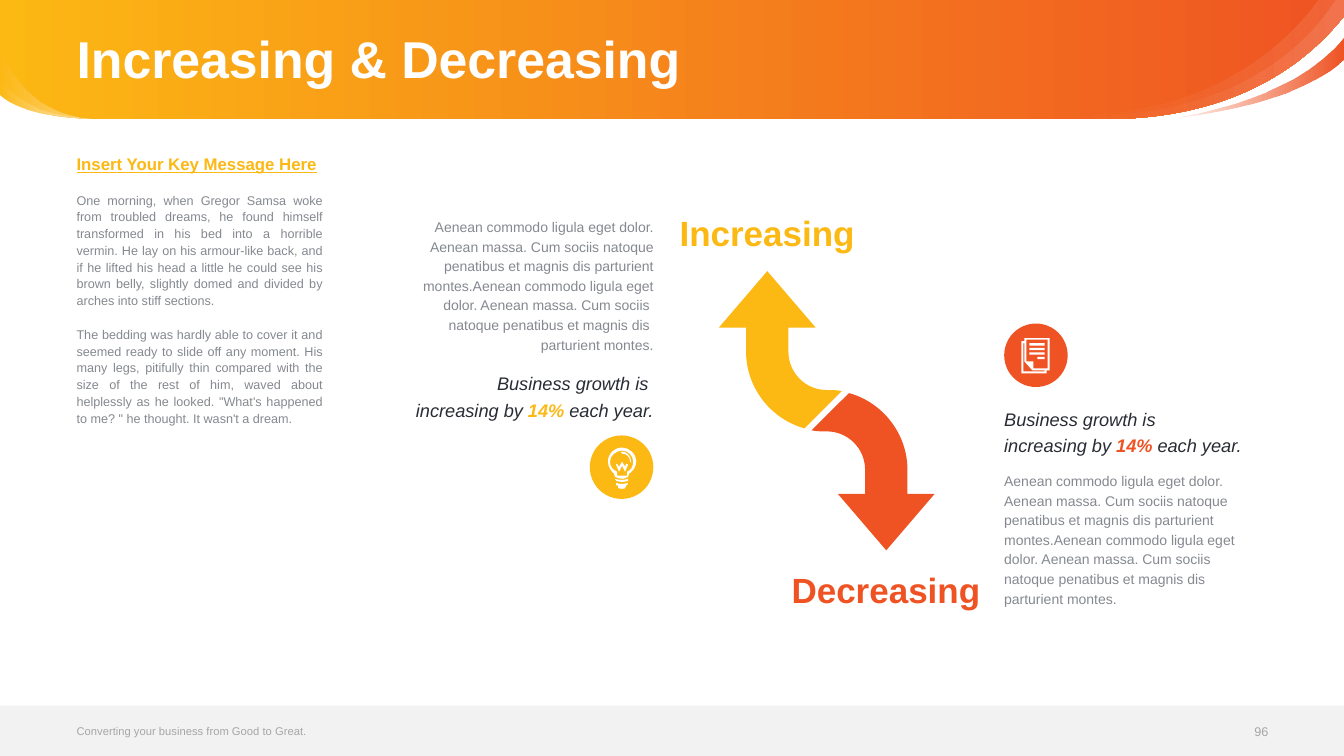
from lxml.etree import SubElement
from pptx import Presentation
from pptx.dml.color import RGBColor
from pptx.enum.shapes import MSO_SHAPE
from pptx.enum.text import MSO_ANCHOR, PP_ALIGN
from pptx.oxml.ns import qn
from pptx.util import Inches, Pt

COLS, ROWS = 1333, 750
COLORS = {"yellow": "FCB813", "orange": "EF5323", "white": "FFFFFF", "band": "F2F2F2",
          "grey": "85898F", "pale": "A6A6A6", "ink": "292C34"}

LOREM = ("Aenean commodo ligula eget dolor. Aenean massa. Cum sociis natoque penatibus et magnis "
         "dis parturient montes.Aenean commodo ligula eget dolor. Aenean massa. Cum sociis "
         "\vnatoque penatibus et magnis dis \vparturient montes.")
MESSAGE = [
    "One morning, when Gregor Samsa woke from troubled dreams, he found himself transformed in his "
    "bed into a horrible vermin. He lay on his armour-like back, and if he lifted his head a little "
    "he could see his brown belly, slightly domed and divided by arches into stiff sections.",
    "The bedding was hardly able to cover it and seemed ready to slide off any moment. His many "
    "legs, pitifully thin compared with the size of the rest of him, waved about helplessly as he "
    "looked. \"What's happened to me? \" he thought. It wasn't a dream.",
]

# Outlines are lists of contours: a pair is a corner, six numbers are a Bézier curve.
HEADER = [[(1333, 0), (1333, 16), (1266, 100, 1170, 117, 1105, 118), (97, 118),
           (18, 117, 0, 94, 0, 94), (0, 0)]]
SWOOSH_WIDE = [[(1333, 0), (1333, 16), (1224, 153, 1039, 113, 1034, 112),
                (1040, 112, 1232, 139, 1324, 0)]]
SWOOSH_TAIL = [[(1157, 118), (1157, 118, 1282, 103, 1333, 37), (1333, 59),
                (1333, 59, 1294, 104, 1157, 118)]]
SWOOSH_INNER = [[(1333, 0), (1333, 16), (1223, 155, 1034, 112, 1034, 112),
                 (1189, 122, 1270, 50, 1307, 0)]]
ARROW = [[(15, -19.5), (-22, 17.5), (-55, 8.5, -80, -22.5, -80, -58.5), (-80, -82.5),
          (-107, -82.5), (-59, -138.5), (-11, -82.5), (-38, -82.5), (-38, -58.5),
          (-38, -37.5, -21, -20.5, 0, -20.5), (5, -20.5, 10, -20.5, 15, -19.5)]]
BULB = [
    [(-6, 15), (-6, 17), (-6, 17, -5, 18, -4, 18), (-4, 20), (-4, 20, -3, 21, 0, 21),
     (3, 21, 3, 20, 3, 20), (4, 18), (5, 18, 5, 17, 5, 17), (6, 15), (4, 16, 2, 16, 0, 16),
     (-2, 16, -4, 16, -6, 15)],
    [(-7, 11), (-6, 13), (-4, 14, -2, 14, 0, 14), (2, 14, 4, 14, 6, 13), (6, 11),
     (4, 12, 2, 12, 0, 12), (-3, 12, -5, 12, -7, 11)],
    [(0, -20), (-8, -20, -14, -14, -14, -6), (-14, -1, -11, 3, -8, 6), (-7, 9),
     (-5, 10, -3, 11, 0, 11), (2, 11, 5, 10, 6, 9), (7, 6), (11, 3, 14, -1, 14, -6),
     (14, -14, 7, -20, 0, -20)],
    [(5, 4), (5, 8), (5, 8, 3, 8, 0, 8), (-4, 8, -5, 8, -5, 8), (-5, 4),
     (-9, 2, -12, -1, -12, -6), (-12, -12, -6, -17, 0, -17), (6, -17, 11, -12, 11, -6),
     (11, -1, 9, 2, 5, 4)],
    [(3, -1), (0, -6), (-3, -1), (-5, -4), (-6, -3), (-3, 4), (0, -2), (3, 4), (6, -3), (4, -4)],
    [(0, -16), (-1, -16, -1, -15, -1, -15), (-1, -14, -1, -14, 0, -14), (4, -14, 8, -11, 8, -6),
     (8, -6, 8, -5, 9, -5), (9, -5, 9, -6, 9, -6), (9, -11, 5, -16, 0, -16)],
]
PAGES = [[(x, y), (8, y), (8, y + 2.3), (x, y + 2.3)]
         for x, y in zip((-7, -7, -7, 1), (-12.5, -8, -3.5, 1))] + [
    [(-12, -17.5), (-12, -14.5), (-15, -14.5), (-15, 17.5), (10, 17.5), (10, 14.5), (13, 14.5),
     (13, -17.5)],
    [(8, 15.5), (-13, 15.5), (-13, -12.5), (-12, -12.5), (-12, 5.5), (-4, 14.5), (8, 14.5)],
    [(11, 12.5), (-3, 12.5), (-3, 5.5), (-10, 5.5), (-10, -16), (11, -16)],
]


def bend(sp, contours):
    """Merge the three lines drawn through each curve's points into one Bézier segment."""
    lines = iter(list(sp._element.iter(qn("a:lnTo"))))
    for contour in contours:
        for step in contour[1:]:
            segment = next(lines)
            if len(step) == 6:
                segment.tag = qn("a:cubicBezTo")
                for line in (next(lines), next(lines)):
                    segment.append(line[0])
                    line.getparent().remove(line)


class SlideBuilder:
    """Draws on one slide; all lengths are cells of the COLS by ROWS grid."""

    def __init__(self, prs, font="Arial"):
        self.s = prs.slides.add_slide(prs.slide_layouts[6])
        self.cell_w, self.cell_h = prs.slide_width / COLS, prs.slide_height / ROWS
        self.font = font

    def emu(self, x, y):
        return round(x * self.cell_w), round(y * self.cell_h)

    def rgb(self, name):
        return RGBColor.from_string(COLORS[name])

    def paint(self, sp, fill):
        """Fill with a colour name, or a gradient of (position, colour, opacity) stops."""
        sp.shadow.inherit = False
        sp.line.fill.background()
        if isinstance(fill, str):
            sp.fill.solid()
            sp.fill.fore_color.rgb = self.rgb(fill)
            return
        sp.fill.gradient()
        sp.fill.gradient_angle = 0
        for stop, (position, color, _) in zip(sp.fill.gradient_stops, fill):
            stop.position = position / 100
            stop.color.rgb = self.rgb(color)
        for clr, (_, _, opacity) in zip(sp._element.iter(qn("a:srgbClr")), fill):
            if opacity < 100:
                SubElement(clr, qn("a:alpha")).set("val", str(opacity * 1000))

    def shape(self, kind, x, y, w, h, fill):
        self.paint(self.s.shapes.add_shape(kind, *self.emu(x, y), *self.emu(w, h)), fill)

    def outline(self, contours, fill, center=(0, 0), turn=1):
        builder = None
        for contour in contours:
            first, *rest = [self.emu(center[0] + turn * step[i], center[1] + turn * step[i + 1])
                            for step in contour for i in range(0, len(step), 2)]
            if builder is None:
                builder = self.s.shapes.build_freeform(*first, scale=1.0)
            else:
                builder.move_to(*first)
            builder.add_line_segments(rest, close=True)
        sp = builder.convert_to_shape()
        bend(sp, contours)
        self.paint(sp, fill)

    def badge(self, x, y, color, icon):
        self.shape(MSO_SHAPE.OVAL, x, y, 63, 63, color)
        self.outline(icon, "white", (x + 32, y + 32))

    def text(self, x, y, w, h, paragraphs, size, color, align=PP_ALIGN.LEFT, spacing=None,
             anchor=MSO_ANCHOR.TOP, bold=False, italic=False):
        """Each paragraph is a string, or a list of (text, accent colour or None)."""
        tf = self.s.shapes.add_textbox(*self.emu(x, y), *self.emu(w, h)).text_frame
        tf.word_wrap = True
        tf.vertical_anchor = anchor
        tf.margin_left = tf.margin_right = tf.margin_top = tf.margin_bottom = 0
        for i, content in enumerate(paragraphs):
            p = tf.add_paragraph() if i else tf.paragraphs[0]
            p.alignment, p.line_spacing = align, spacing
            p.font.name, p.font.size = self.font, Pt(size)
            p.font.bold, p.font.italic = bold, italic
            p.font.color.rgb = self.rgb(color)
            if isinstance(content, str):
                p.text = content
                continue
            for words, accent in content:
                r = p.add_run()
                r.text = words
                if accent:
                    r.font.bold = True
                    r.font.color.rgb = self.rgb(accent)
        return tf

    def growth(self, x, y, lead, accent, align):
        self.text(x, y, 261, 53, [lead, [("increasing by ", None), ("14%", accent),
                                         (" each year.", None)]],
                  13, "ink", align, Pt(19), italic=True)

    def header(self):
        glow = ((15, "white", 0), (100, "white", 10))
        self.outline(HEADER, ((0, "yellow", 100), (100, "orange", 100)))
        self.outline(SWOOSH_WIDE, glow)
        self.outline(SWOOSH_TAIL, ((0, "orange", 0), (100, "orange", 100)))
        self.outline(SWOOSH_INNER, glow)
        for top, dip in ((76, 117), (45, 116)):
            self.outline([[(97, 118), (18, 117, 0, 94, 0, 94), (0, top),
                           (0, top, 18, dip, 97, 118)]],
                         ((0, "white", 0), (100, "white", 50)))

    def footer(self):
        middle = MSO_ANCHOR.MIDDLE
        self.text(76, 712, 523, 26, ["Converting your business from Good to Great."], 8, "pale",
                  anchor=middle)
        self.text(1195, 713, 63, 26, ["96"], 9, "pale", PP_ALIGN.RIGHT, anchor=middle)

    def key_message(self):
        tf = self.text(76, 156, 244, 519, ["Insert Your Key Message Here", *MESSAGE], 9, "grey",
                       PP_ALIGN.JUSTIFY, Pt(12))
        heading, *body = tf.paragraphs
        heading.font.size, heading.font.bold, heading.font.underline = Pt(12), True, True
        heading.font.color.rgb = self.rgb("yellow")
        for p in body:
            p.space_before = Pt(12)


def main():
    prs = Presentation()
    prs.slide_width, prs.slide_height = Inches(13.33), Inches(7.5)
    slide = SlideBuilder(prs)
    slide.header()
    slide.shape(MSO_SHAPE.RECTANGLE, 0, 700, COLS, 50, "band")
    slide.text(76, 5, 1181, 113, ["Increasing & Decreasing"], 37, "white", spacing=0.9,
               anchor=MSO_ANCHOR.MIDDLE, bold=True)
    slide.key_message()
    slide.footer()

    left, right = PP_ALIGN.LEFT, PP_ALIGN.RIGHT
    slide.badge(585, 432, "yellow", BULB)
    slide.badge(996, 321, "orange", PAGES)
    for color, turn in (("yellow", 1), ("orange", -1)):
        slide.outline(ARROW, color, (820, 407.5), turn)
    slide.text(674, 210, 261, 42, ["Increasing"], 25, "yellow", left, bold=True)
    slide.text(711, 564, 261, 42, ["Decreasing"], 25, "orange", right, bold=True)
    slide.text(387, 214, 261, 137, [LOREM], 10, "grey", right, Pt(14))
    slide.growth(387, 365, "Business growth is ", "yellow", right)
    slide.text(996, 466, 261, 137, [LOREM], 10, "grey", left, Pt(14))
    slide.growth(996, 400, "Business growth is", "orange", left)
    prs.save("out.pptx")


if __name__ == "__main__":
    main()
